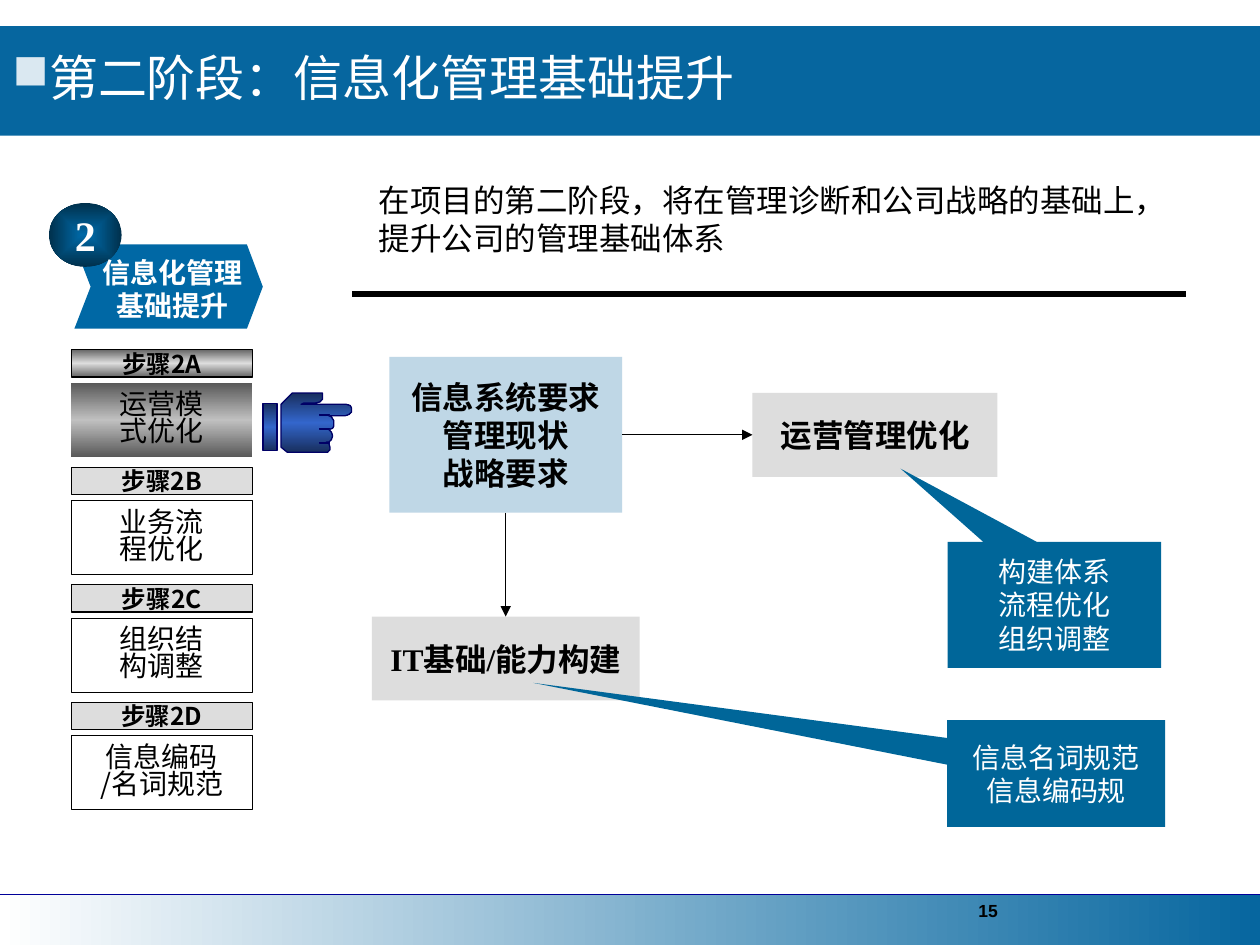
from dataclasses import dataclass

from lxml.etree import SubElement
from pptx import Presentation
from pptx.dml.color import RGBColor
from pptx.enum.shapes import MSO_CONNECTOR, MSO_SHAPE
from pptx.enum.text import MSO_ANCHOR, PP_ALIGN
from pptx.oxml.ns import qn
from pptx.util import Pt


@dataclass(frozen=True)
class Theme:
    black: str = "000000"
    white: str = "FFFFFF"
    banner: str = "06669F"
    bullet: str = "DAE8F1"
    rule: str = "000099"
    source_box: str = "BFD7E6"
    grey: str = "DDDDDD"
    callout: str = "006699"
    phase: str = "0068A5"
    phase_dark: str = "00304C"
    hand_line: str = "000066"
    hand_fill: tuple = ("182F5E", "3366CC", "182F5E")
    active_head: tuple = ("666666", "DDDDDD", "666666")
    active_body: tuple = ("595959", "C0C0C0", "595959")
    sans: str = "Arial"
    serif: str = "Times New Roman"
    cjk: str = "Noto Sans CJK SC"
    title: int = 28
    number: int = 24
    main: int = 18
    label: int = 16
    step: int = 14
    page: int = 10


THEME = Theme()
HAND_OUTLINE = [
    (197.3, 237.6), (187.9, 237.6), (189.4, 238.3), (190.8, 240.5), (190.8, 243.4),
    (190.1, 244.8), (187.9, 245.5), (189.4, 247), (190.1, 249.1), (189.4, 251.3),
    (187.9, 252.7), (186.5, 252.7), (187.9, 253.4), (188.6, 255.6), (188.6, 257),
    (187.2, 258.5), (164.2, 258.5), (160.6, 255.6), (160.6, 231.1), (167, 224.6),
    (184.3, 224.6), (184.3, 228.2), (182.9, 229.7), (180, 230.4), (173.5, 230.4),
    (172.1, 231.1), (198, 231.1), (200.2, 231.8), (200.9, 233.3), (200.9, 235.4),
    (199.4, 236.9),
]
PHASE_OUTLINE = [(42.5, 139.7), (141.1, 139.7), (150.2, 163.9), (141.1, 187.9),
                 (42.5, 187.9), (51.8, 163.9)]
STEPS = [("步骤2A", "运营模\n式优化"), ("步骤2B", "业务流\n程优化"),
         ("步骤2C", "组织结\n构调整"), ("步骤2D", "信息编码\n/名词规范")]


def rgb(color):
    return RGBColor.from_string(color)


def set_gradient(shape, colors, angle=90, centred=False):
    shape.fill.gradient()
    if not centred:
        shape.fill.gradient_angle = angle
    gradient = shape._element.spPr.find(qn("a:gradFill"))
    stops = gradient.find(qn("a:gsLst"))
    for stop in list(stops):
        stops.remove(stop)
    for index, color in enumerate(colors):
        position = 100000 * index // (len(colors) - 1)
        stop = SubElement(stops, qn("a:gs"), pos=str(position))
        SubElement(stop, qn("a:srgbClr"), val=color)
    if centred:
        gradient.remove(gradient.find(qn("a:lin")))
        path = SubElement(gradient, qn("a:path"), path="rect")
        SubElement(path, qn("a:fillToRect"), l="50000", t="50000", r="50000", b="50000")


def paint(shape, fill=None, outline=None, centred=False, angle=90):
    shape.shadow.inherit = False
    if fill is None:
        shape.fill.background()
    elif isinstance(fill, tuple):
        set_gradient(shape, fill, angle, centred)
    else:
        shape.fill.solid()
        shape.fill.fore_color.rgb = rgb(fill)
    if outline:
        shape.line.color.rgb = rgb(outline)
        shape.line.width = Pt(0.75)
    else:
        shape.line.fill.background()
    return shape


def add_box(slide, left, top, width, height, kind=MSO_SHAPE.RECTANGLE, **look):
    box = slide.shapes.add_shape(kind, Pt(left), Pt(top), Pt(width), Pt(height))
    return paint(box, **look)


def add_outline(slide, points, **look):
    corners = [(Pt(x), Pt(y)) for x, y in points]
    builder = slide.shapes.build_freeform(*corners[0], scale=1.0)
    builder.add_line_segments(corners[1:], close=True)
    return paint(builder.convert_to_shape(), **look)


def add_line(slide, start, end, color, width):
    line = slide.shapes.add_connector(MSO_CONNECTOR.STRAIGHT, *map(Pt, start + end))
    line.line.color.rgb = rgb(color)
    line.line.width = Pt(width)
    SubElement(line._element.spPr, qn("a:effectLst"))
    return line


def add_arrow(slide, origin, origin_side, target, target_side):
    arrow = add_line(slide, (0, 0), (0, 0), THEME.black, 0.75)
    arrow.begin_connect(origin, origin_side)
    arrow.end_connect(target, target_side)
    SubElement(arrow._element.spPr.find(qn("a:ln")), qn("a:tailEnd"), type="triangle")


def add_label(slide, left, top, width, height, text, **style):
    label = slide.shapes.add_textbox(Pt(left), Pt(top), Pt(width), Pt(height))
    write(label, text, **style)


def write(shape, text, size=THEME.main, color=THEME.black, font=THEME.serif, bold=False,
          align=PP_ALIGN.CENTER, anchor=MSO_ANCHOR.MIDDLE, wrap=False, spacing=None,
          bullet=None):
    frame = shape.text_frame
    frame.word_wrap = wrap
    frame.vertical_anchor = anchor
    frame.text = text
    for paragraph in frame.paragraphs:
        if bullet:
            properties = paragraph._p.get_or_add_pPr()
            properties.set("marL", str(Pt(21)))
            properties.set("indent", str(-Pt(21)))
            bullet_color = SubElement(properties, qn("a:buClr"))
            SubElement(bullet_color, qn("a:srgbClr"), val=THEME.bullet)
            SubElement(properties, qn("a:buChar"), char=bullet)
        paragraph.alignment = align
        paragraph.line_spacing = spacing
        for run in paragraph.runs:
            run.font.size = Pt(size)
            run.font.bold = bold
            run.font.name = font
            run.font.color.rgb = rgb(color)
            SubElement(run._r.get_or_add_rPr(), qn("a:ea"), typeface=THEME.cjk)


def add_frame(slide):
    add_box(slide, 0, 511.5, 720, 29, fill=(THEME.white, THEME.banner), angle=0)
    add_line(slide, (0, 511.2), (720, 511.2), THEME.rule, 1)
    add_box(slide, 0, 15, 720, 62.5, fill=THEME.banner)
    add_label(slide, 552, 510.5, 168, 26, "15", size=THEME.page, font=THEME.sans,
              bold=True, align=PP_ALIGN.LEFT, anchor=MSO_ANCHOR.TOP)
    add_label(slide, 0, 15, 720, 62.5, "第二阶段：信息化管理基础提升", size=THEME.title,
              color=THEME.white, font=THEME.sans, align=PP_ALIGN.LEFT, wrap=True,
              spacing=0.9, bullet="■")
    add_label(slide, 209.5, 100, 468, 50.4,
              "在项目的第二阶段，将在管理诊断和公司战略的基础上，提升公司的管理基础体系",
              font=THEME.cjk, align=PP_ALIGN.LEFT, anchor=MSO_ANCHOR.TOP, wrap=True)


def add_flow(slide):
    needs = add_box(slide, 222.5, 204, 133, 89, fill=THEME.source_box)
    write(needs, "信息系统要求\n管理现状\n战略要求", bold=True)
    operations = add_box(slide, 430, 224.5, 140, 48, fill=THEME.grey)
    write(operations, "运营管理优化", bold=True)
    capability = add_box(slide, 212.5, 352.3, 153, 48, fill=THEME.grey)
    write(capability, "IT基础/能力构建", bold=True)
    add_callout(slide, 541.5, 309.6, 122, 72, (-0.72, -1.08), "构建体系\n流程优化\n组织调整")
    add_callout(slide, 541.3, 411.6, 124.5, 61, (-2.4, -0.85), "信息名词规范\n信息编码规")
    add_arrow(slide, needs, 3, operations, 1)
    add_arrow(slide, needs, 2, capability, 0)
    add_line(slide, (201.3, 168), (677.5, 168), THEME.black, 3)


def add_callout(slide, left, top, width, height, tip, text):
    callout = add_box(slide, left, top, width, height,
                      kind=MSO_SHAPE.RECTANGULAR_CALLOUT, fill=THEME.callout)
    callout.adjustments[0], callout.adjustments[1] = tip
    write(callout, text, size=THEME.label, color=THEME.white, wrap=True)


def add_phase(slide):
    add_outline(slide, PHASE_OUTLINE, fill=THEME.phase)
    badge = add_box(slide, 28, 116, 41.5, 36.5, kind=MSO_SHAPE.OVAL,
                    fill=(THEME.phase, THEME.phase_dark), centred=True)
    write(badge, "2", size=THEME.number, color=THEME.white, bold=True)
    add_label(slide, 48, 145.5, 101, 39, "信息化管理\n基础提升", size=THEME.label,
              color=THEME.white, bold=True)


def add_steps(slide):
    left, first_top, pitch, width = 40.7, 199.8, 67.2, 103.5
    for index, (name, task) in enumerate(STEPS):
        active = index == 0
        top = first_top + index * pitch
        head = add_box(slide, left, top, width, 15.6, outline=THEME.black,
                       fill=THEME.active_head if active else THEME.grey)
        write(head, name, size=THEME.step, font=THEME.cjk, bold=True)
        body = add_box(slide, left, top + 19.1, width, 42.3,
                       fill=THEME.active_body if active else None,
                       outline=None if active else THEME.black)
        write(body, task, size=THEME.label, font=THEME.cjk, wrap=True, spacing=0.8)


def add_hand(slide):
    look = {"fill": THEME.hand_fill, "outline": THEME.hand_line}
    add_box(slide, 150.3, 230.5, 8, 27, **look)
    add_outline(slide, HAND_OUTLINE, **look)
    for crease_top in (236.9, 244.8, 252.7):
        add_box(slide, 182.4, crease_top, 6, 0.7, **look)


def main():
    deck = Presentation()
    deck.slide_width, deck.slide_height = Pt(720), Pt(540)
    slide = deck.slides.add_slide(deck.slide_layouts[6])
    for add_part in (add_frame, add_flow, add_phase, add_steps, add_hand):
        add_part(slide)
    deck.save("out.pptx")


if __name__ == "__main__":
    main()
